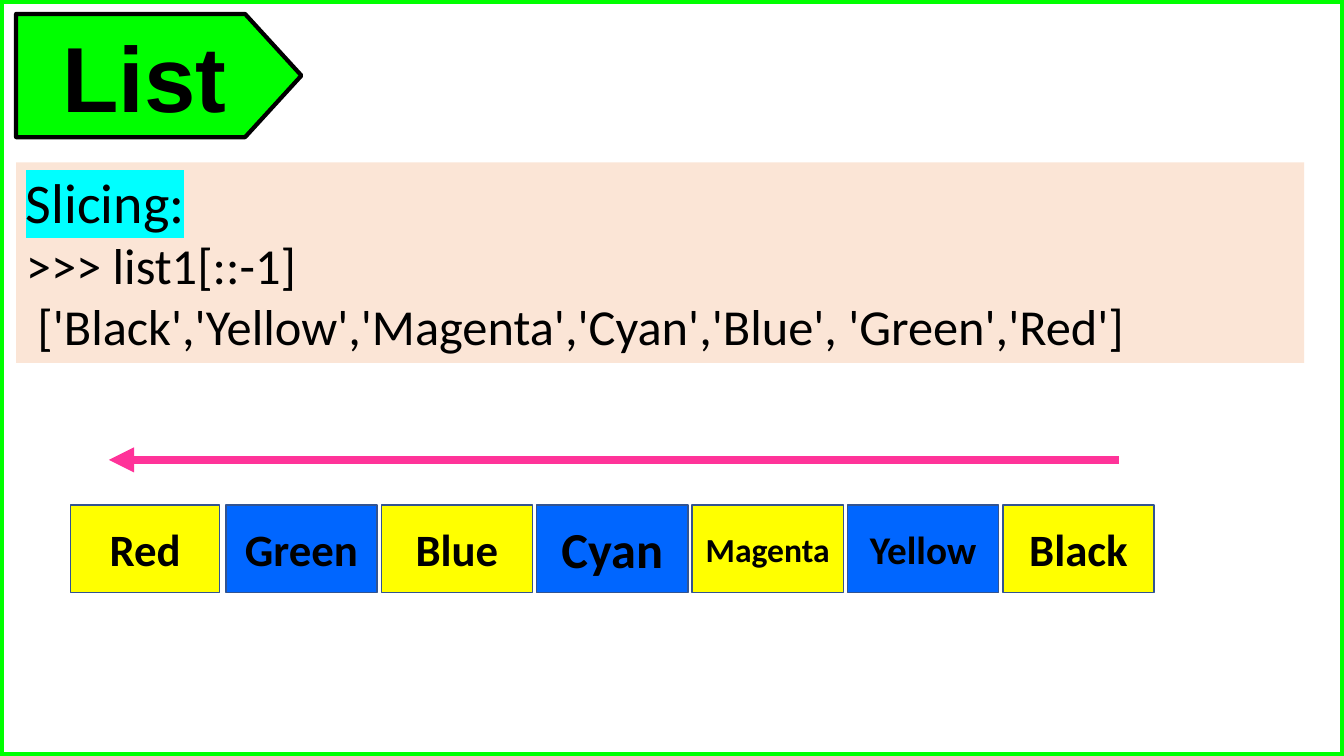
from dataclasses import dataclass

from lxml import etree
from pptx import Presentation
from pptx import util as u
from pptx.dml import color
from pptx.enum import shapes, text
from pptx.oxml import ns

Pt = u.Pt


@dataclass(frozen=True)
class Theme:
    green: str = "00FF00"
    peach: str = "FBE5D6"
    yellow: str = "FFFF00"
    blue: str = "0066FF"
    outline: str = "325491"
    pink: str = "FF3399"
    cyan: str = "00FFFF"
    ink: str = "000000"
    heading_font: str = "Arial"
    body_font: str = "Calibri"
    title: int = 66
    subtitle: int = 40
    code: int = 36
    item: int = 32


T = Theme()


@dataclass(frozen=True)
class Box:
    x: float
    y: float
    w: float
    h: float
    fill: str | None = None
    line: str | None = None
    weight: float = 1
    kind: shapes.MSO_SHAPE = shapes.MSO_SHAPE.RECTANGLE


@dataclass(frozen=True)
class Line:
    words: str
    size: float
    font: str = T.body_font
    bold: bool = False
    highlight: str | None = None


@dataclass(frozen=True)
class Item:
    name: str
    size: float = T.item


def rgb(value: str) -> color.RGBColor:
    return color.RGBColor.from_string(value)


def draw_box(s, box: Box):
    sp = s.shapes.add_shape(box.kind, Pt(box.x), Pt(box.y), Pt(box.w), Pt(box.h))
    sp.shadow.inherit = False
    if box.fill:
        sp.fill.solid()
        sp.fill.fore_color.rgb = rgb(box.fill)
    else:
        sp.fill.background()
    if box.line:
        sp.line.color.rgb = rgb(box.line)
        sp.line.width = Pt(box.weight)
    else:
        sp.line.fill.background()
    return sp


def write(sp, lines: list[Line], align=text.PP_ALIGN.CENTER,
          anchor=text.MSO_ANCHOR.MIDDLE) -> None:
    tf = sp.text_frame
    tf.word_wrap = True
    tf.vertical_anchor = anchor
    for i, line in enumerate(lines):
        p = tf.add_paragraph() if i else tf.paragraphs[0]
        p.alignment = align
        r = p.add_run()
        r.text = line.words
        formats = {"name": line.font, "size": Pt(line.size), "bold": line.bold}
        for key, value in formats.items():
            setattr(r.font, key, value)
        r.font.color.rgb = rgb(T.ink)
        if line.highlight:
            mark = etree.Element(ns.qn("a:highlight"))
            etree.SubElement(mark, ns.qn("a:srgbClr"), val=line.highlight)
            r.font._element.find(ns.qn("a:solidFill")).addnext(mark)


def draw_arrow(s, x1: float, x2: float, y: float) -> None:
    cx = s.shapes.add_connector(shapes.MSO_CONNECTOR.STRAIGHT,
                                Pt(x1), Pt(y), Pt(x2), Pt(y))
    cx.line.color.rgb = rgb(T.pink)
    cx.line.width = Pt(6)
    etree.SubElement(cx.line._get_or_add_ln(), ns.qn("a:tailEnd"), type="triangle")
    etree.SubElement(cx._element.spPr, ns.qn("a:effectLst"))


def draw_items(s, items: list[Item]) -> None:
    left, pitch, width = 50.4, 111, 108
    for i, item in enumerate(items):
        w = width if i else width - 1.4
        fill = T.blue if i % 2 else T.yellow
        sp = draw_box(s, Box(left + i * pitch, 360.7, w, 62.6, fill, T.outline))
        write(sp, [Line(item.name, item.size, bold=True)])


def main() -> None:
    prs = Presentation()
    prs.slide_width, prs.slide_height = Pt(960), Pt(540)
    s = prs.slides.add_slide(prs.slide_layouts[6])

    # Slide border
    draw_box(s, Box(0, 0, 960, 540, line=T.green, weight=6))

    # Title tag
    tag = draw_box(s, Box(11.5, 10, 203.8, 88, T.green, T.ink, 3,
                          shapes.MSO_SHAPE.PENTAGON))
    tag.adjustments[0] = 0.457
    write(tag, [Line("List", T.title, T.heading_font, True)])

    # Code panel
    panel = draw_box(s, Box(11.5, 116, 920, 143.2, T.peach))
    write(panel, [
        Line("Slicing:", T.subtitle, highlight=T.cyan),
        Line(">>> list1[::-1]", T.code),
        Line(" ['Black','Yellow','Magenta','Cyan','Blue', 'Green','Red']", T.code),
    ], text.PP_ALIGN.LEFT, text.MSO_ANCHOR.TOP)

    # List items, read from right to left
    draw_items(s, [Item("Red"), Item("Green"), Item("Blue"), Item("Cyan", 36),
                   Item("Magenta", 24), Item("Yellow", 28), Item("Black")])
    draw_arrow(s, 799.2, 77.8, 328.5)

    prs.save("out.pptx")


if __name__ == "__main__":
    main()
